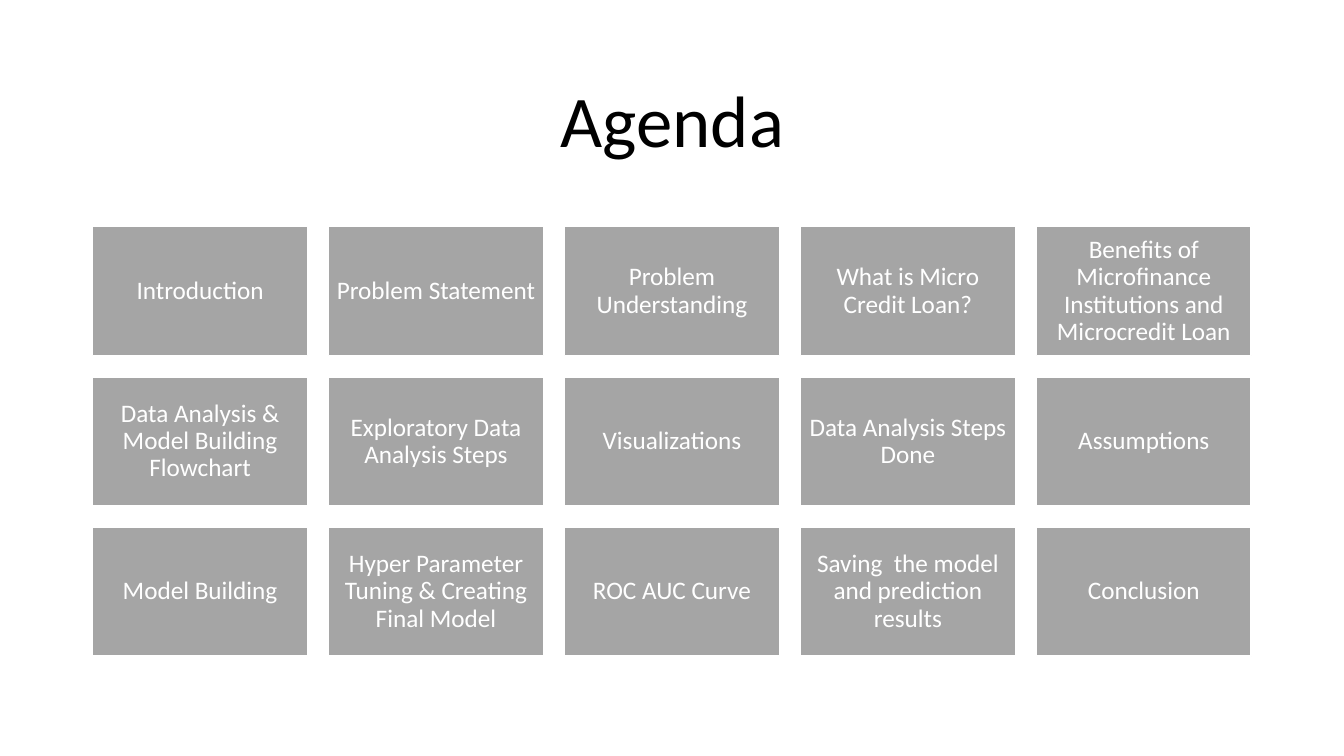
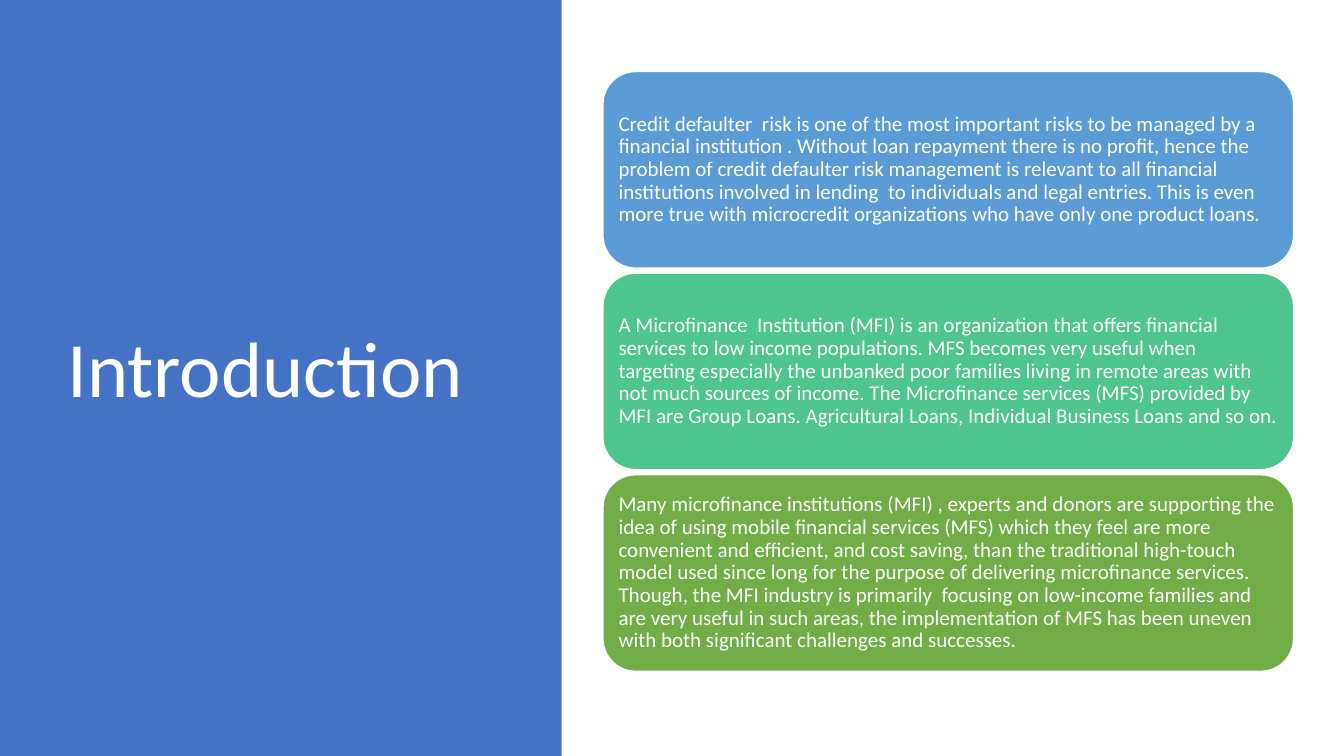
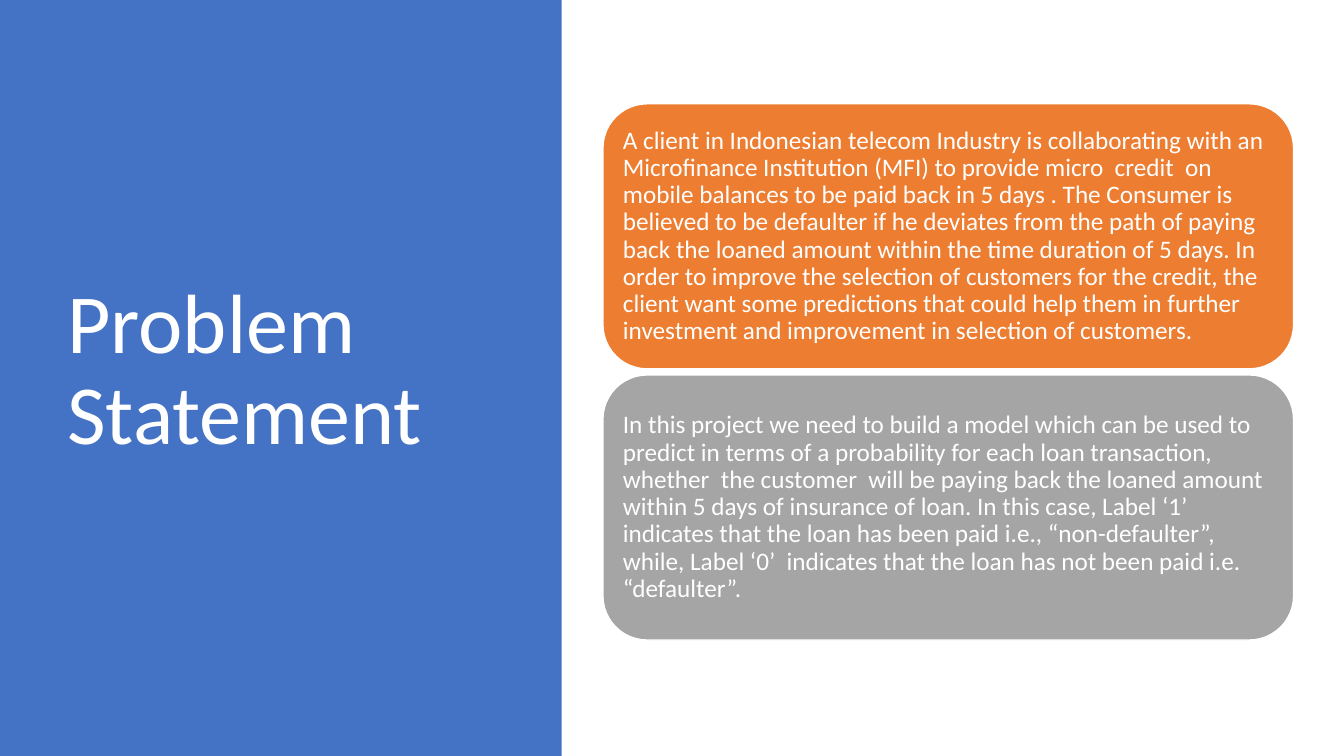
from pptx import Presentation
from pptx.util import Pt
from pptx.dml.color import RGBColor
from pptx.enum.shapes import MSO_SHAPE
from pptx.enum.text import MSO_ANCHOR, PP_ALIGN

RECT, ROUND = MSO_SHAPE.RECTANGLE, MSO_SHAPE.ROUNDED_RECTANGLE
MIDDLE = MSO_ANCHOR.MIDDLE
LEFT, CENTER = PP_ALIGN.LEFT, PP_ALIGN.CENTER

PX = 9144  # 100 px to the inch
WIDE, HIGH = 1333, 750
FONT = "Calibri"
COLORS = {
    "black": "000000", "white": "FFFFFF", "navy": "4472C4", "blue": "5B9BD5",
    "mint": "4DC58D", "green": "70AD47", "orange": "ED7D31", "gray": "A5A5A5",
}

deck = Presentation()
deck.slide_width, deck.slide_height = WIDE * PX, HIGH * PX
blank = deck.slide_layouts[6]


def write(shape, text, size, color="white", align=LEFT, pad=(10, 5)):
    frame = shape.text_frame
    frame.word_wrap = True
    frame.vertical_anchor = MIDDLE
    frame.margin_left = frame.margin_right = pad[0] * PX
    frame.margin_top = frame.margin_bottom = pad[1] * PX
    para = frame.paragraphs[0]
    para.alignment = align
    para.line_spacing = 0.9
    run = para.add_run()
    run.text = text
    run.font.name = FONT
    run.font.size = Pt(size)
    run.font.color.rgb = RGBColor.from_string(COLORS[color])


def block(slide, kind, at, fill, edge=True):
    shape = slide.shapes.add_shape(kind, *[n * PX for n in at])
    shape.shadow.inherit = False
    shape.fill.solid()
    shape.fill.fore_color.rgb = RGBColor.from_string(COLORS[fill])
    if edge:
        shape.line.color.rgb = RGBColor.from_string(COLORS["white"])
        shape.line.width = Pt(1)
    else:
        shape.line.fill.background()
    return shape


# Agenda: title over a grid of tiles
topics = [
    "Introduction", "Problem Statement", "Problem Understanding",
    "What is Micro Credit Loan?",
    "Benefits of Microfinance Institutions and Microcredit Loan",
    "Data Analysis & Model Building Flowchart",
    "Exploratory Data Analysis Steps", "Visualizations",
    "Data Analysis Steps Done", "Assumptions",
    "Model Building", "Hyper Parameter Tuning & Creating Final Model",
    "ROC AUC Curve", "Saving  the model and prediction results", "Conclusion",
]
COLS, GAP = 5, 21
TILE_W, TILE_H = 213, 128

slide = deck.slides.add_slide(blank)
title = slide.shapes.add_textbox(92 * PX, 61 * PX, 1150 * PX, 124 * PX)
write(title, "Agenda", 52, "black", CENTER)
for i, topic in enumerate(topics):
    row, col = divmod(i, COLS)
    at = (92 + col * (TILE_W + GAP), 225 + row * (TILE_H + GAP), TILE_W, TILE_H)
    write(block(slide, RECT, at, "gray"), topic, 18, align=CENTER, pad=(7, 7))

# Side-band slides: title, title size, first top, card height, gap,
# text size, padding, cards
pages = [
    ("Introduction", 56, 71, 195, 5, 15, 6, [
        ("blue", "Credit defaulter  risk is one of the most important risks to be "
         "managed by a financial institution . Without loan repayment there is no "
         "profit, hence the problem of credit defaulter risk management is relevant "
         "to all financial institutions involved in lending  to individuals and "
         "legal entries. This is even more true with microcredit organizations who "
         "have only one product loans."),
        ("mint", "A Microfinance  Institution (MFI) is an organization that offers "
         "financial services to low income populations. MFS becomes very useful "
         "when targeting especially the unbanked poor families living in remote "
         "areas with not much sources of income. The Microfinance services (MFS) "
         "provided by MFI are Group Loans. Agricultural Loans, Individual Business "
         "Loans and so on."),
        ("green", "Many microfinance institutions (MFI) , experts and donors are "
         "supporting the idea of using mobile financial services (MFS) which they "
         "feel are more convenient and efficient, and cost saving, than the "
         "traditional high-touch model used since long for the purpose of "
         "delivering microfinance services. Though, the MFI industry is primarily  "
         "focusing on low-income families and are very useful in such areas, the "
         "implementation of MFS has been uneven with both significant challenges "
         "and successes."),
    ]),
    ("Problem Statement", 60, 103, 263, 6, 18, 7, [
        ("orange", "A client in Indonesian telecom Industry is collaborating with an "
         "Microfinance Institution (MFI) to provide micro  credit  on mobile "
         "balances to be paid back in 5 days . The Consumer is believed to be "
         "defaulter if he deviates from the path of paying back the loaned amount "
         "within the time duration of 5 days. In order to improve the selection of "
         "customers for the credit, the client want some predictions that could "
         "help them in further investment and improvement in selection of "
         "customers."),
        ("gray", "In this project we need to build a model which can be used to "
         "predict in terms of a probability for each loan transaction, whether  the "
         "customer  will be paying back the loaned amount within 5 days of "
         "insurance of loan. In this case, Label ‘1’ indicates that the loan has "
         "been paid i.e., “non-defaulter”, while, Label ‘0’  indicates that the "
         "loan has not been paid i.e.  “defaulter”."),
    ]),
]

for name, big, top, tall, gap, size, pad, cards in pages:
    slide = deck.slides.add_slide(blank)
    block(slide, RECT, (0, 0, 557, HIGH), "navy", edge=False)
    title = slide.shapes.add_textbox(57 * PX, 68 * PX, 416 * PX, 602 * PX)
    write(title, name, big)
    for i, (fill, text) in enumerate(cards):
        card = block(slide, ROUND, (598, top + i * (tall + gap), 685, tall), fill)
        write(card, text, size, pad=(pad, pad))

deck.save("out.pptx")
